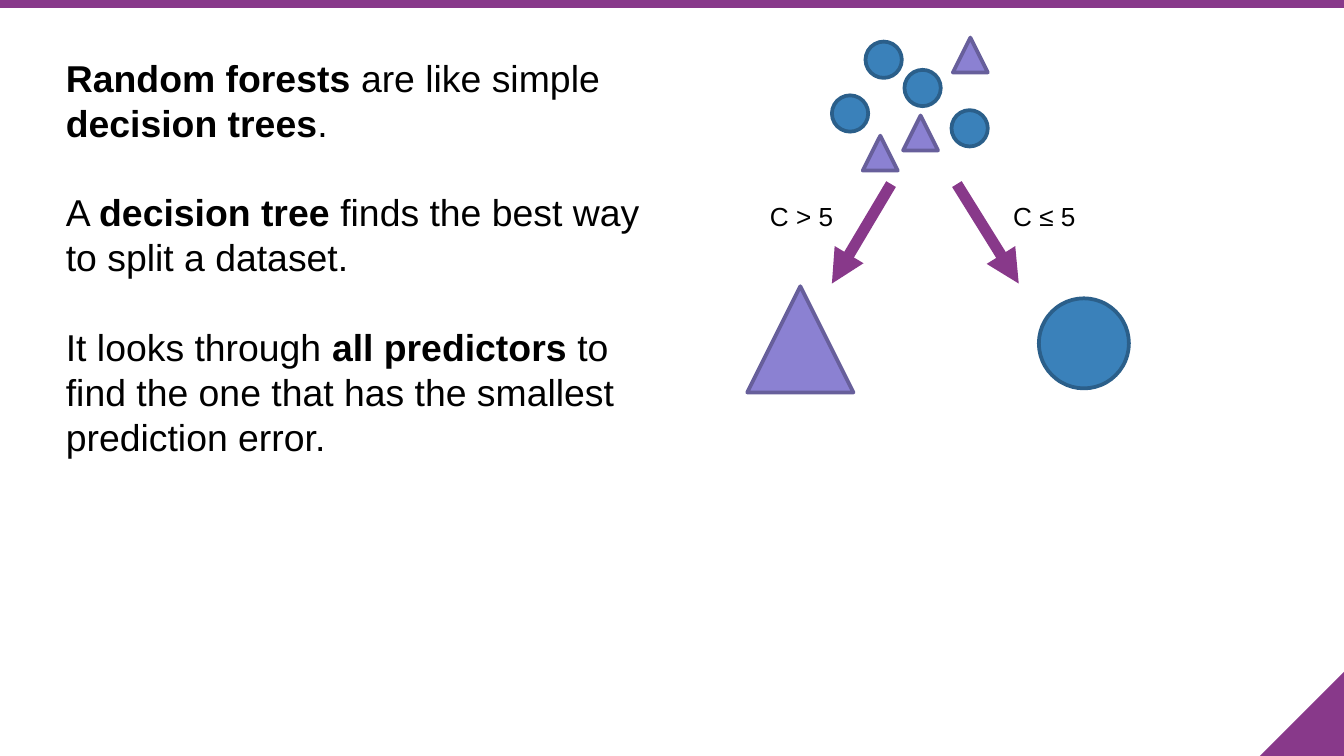
from dataclasses import dataclass

from lxml import etree
from pptx import Presentation, util as u
from pptx.dml.color import RGBColor
from pptx.enum import shapes, text
from pptx.oxml.ns import qn

CELL = 0.1  # inches: the slide is a grid of 100 columns by 56.25 rows
COLUMNS, ROWS = 100, 56.25
CORNER = 6.25


@dataclass(frozen=True)
class Theme:
    font: str = "Arial"
    ink: str = "000000"
    accent: str = "88398A"
    body_size: int = 20
    body_leading: int = 24
    label_size: int = 14
    outline: int = 2
    arrow: int = 6


@dataclass(frozen=True)
class Species:
    """A class of data point: its marker and colours."""
    marker: shapes.MSO_SHAPE
    fill: str
    line: str


@dataclass(frozen=True)
class Point:
    species: Species
    column: float
    row: float
    size: float


@dataclass(frozen=True)
class Branch:
    condition: str
    label_column: float
    start_column: float
    end_column: float


THEME = Theme()
CIRCLE = Species(shapes.MSO_SHAPE.OVAL, "3A81BA", "2B5F8A")
TRIANGLE = Species(shapes.MSO_SHAPE.ISOSCELES_TRIANGLE, "8B81D2", "675F9B")

LEAVES = [Point(CIRCLE, 77.3, 22.2, 6.7), Point(TRIANGLE, 55.6, 21.3, 7.9)]
DATASET = [
    Point(TRIANGLE, 64.2, 10.1, 2.6),
    Point(CIRCLE, 70.8, 8.2, 2.7),
    Point(TRIANGLE, 67.2, 8.6, 2.6),
    Point(TRIANGLE, 70.9, 2.8, 2.6),
    Point(CIRCLE, 61.9, 7.1, 2.7),
    Point(CIRCLE, 64.4, 3.1, 2.7),
    Point(CIRCLE, 67.3, 5.2, 2.7),
]
BRANCHES = [
    Branch("C ≤ 5", 74.4, 71.2, 75.8),
    Branch("C > 5", 56.3, 66.3, 61.9),
]
BRANCH_TOP, BRANCH_BOTTOM, LABEL_ROW = 13.7, 21.1, 14.4

# Each paragraph is a list of (wording, bold) runs.
EXPLANATION = [
    [("Random forests ", True), ("are like simple ", False),
     ("decision trees", True), (".", False)],
    [("A ", False), ("decision tree ", True),
     ("finds the best way to split a dataset.", False)],
    [("It looks through ", False), ("all predictors ", True),
     ("to find the one that has the smallest prediction error.", False)],
]


def cells(*counts: float) -> list[u.Emu]:
    return [u.Inches(count * CELL) for count in counts]


def color(value: str) -> RGBColor:
    return RGBColor.from_string(value)


def add_run(paragraph, wording: str, size: int, bold: bool = False) -> None:
    run = paragraph.add_run()
    run.text = wording
    run.font.name = THEME.font
    run.font.size = u.Pt(size)
    run.font.bold = bold
    run.font.color.rgb = color(THEME.ink)


def add_filled(canvas, preset, column: float, row: float,
               width: float, height: float, fill: str):
    shape = canvas.add_shape(preset, *cells(column, row, width, height))
    shape.shadow.inherit = False
    shape.fill.solid()
    shape.fill.fore_color.rgb = color(fill)
    shape.line.fill.background()
    return shape


def add_decoration(canvas) -> None:
    corner = add_filled(canvas, shapes.MSO_SHAPE.RIGHT_TRIANGLE,
                        COLUMNS - CORNER, ROWS - CORNER, CORNER, CORNER, THEME.accent)
    corner._element.spPr.find(qn("a:xfrm")).set("flipH", "1")
    add_filled(canvas, shapes.MSO_SHAPE.RECTANGLE, 0, 0, COLUMNS, 0.6, THEME.accent)


def add_point(canvas, point: Point) -> None:
    species = point.species
    shape = add_filled(canvas, species.marker, point.column, point.row,
                       point.size, point.size, species.fill)
    shape.line.color.rgb = color(species.line)
    shape.line.width = u.Pt(THEME.outline)


def add_branch(canvas, branch: Branch) -> None:
    arrow = canvas.add_connector(
        shapes.MSO_CONNECTOR.STRAIGHT,
        *cells(branch.start_column, BRANCH_TOP, branch.end_column, BRANCH_BOTTOM))
    arrow.line.color.rgb = color(THEME.accent)
    arrow.line.width = u.Pt(THEME.arrow)
    etree.SubElement(arrow.line._get_or_add_ln(), qn("a:tailEnd"), type="triangle")
    etree.SubElement(arrow._element.spPr, qn("a:effectLst"))

    label = canvas.add_textbox(*cells(branch.label_column, LABEL_ROW, 16.2, 3.4))
    label.text_frame.word_wrap = True
    add_run(label.text_frame.paragraphs[0], branch.condition, THEME.label_size)


def fill_explanation(body) -> None:
    body.left, body.top, body.width, body.height = cells(3.9, 3.4, 45.9, 45.1)
    frame = body.text_frame
    frame.auto_size = text.MSO_AUTO_SIZE.NONE
    frame.vertical_anchor = text.MSO_ANCHOR.TOP
    frame.word_wrap = True
    frame.margin_left = frame.margin_right = u.Inches(0.1)
    frame.margin_top = u.Inches(0.07)
    for index, runs in enumerate(EXPLANATION):
        paragraph = frame.add_paragraph() if index else frame.paragraphs[0]
        paragraph.alignment = text.PP_ALIGN.LEFT
        paragraph.line_spacing = u.Pt(THEME.body_leading)
        paragraph.space_before = u.Pt(THEME.body_leading if index else 0)
        paragraph.space_after = u.Pt(0)
        properties = paragraph._p.get_or_add_pPr()
        properties.set("marL", "0")
        properties.set("indent", "0")
        etree.SubElement(properties, qn("a:buNone"))
        for wording, bold in runs:
            add_run(paragraph, wording, THEME.body_size, bold)


def main() -> None:
    deck = Presentation()
    deck.slide_width, deck.slide_height = cells(COLUMNS, ROWS)
    slide = deck.slides.add_slide(deck.slide_layouts[1])
    title = slide.shapes.title._element
    title.getparent().remove(title)

    fill_explanation(slide.placeholders[1])
    add_decoration(slide.shapes)
    for leaf in LEAVES:
        add_point(slide.shapes, leaf)
    for branch in BRANCHES:
        add_branch(slide.shapes, branch)
    dataset = slide.shapes.add_group_shape()
    for point in DATASET:
        add_point(dataset.shapes, point)
    deck.save("out.pptx")


if __name__ == "__main__":
    main()
